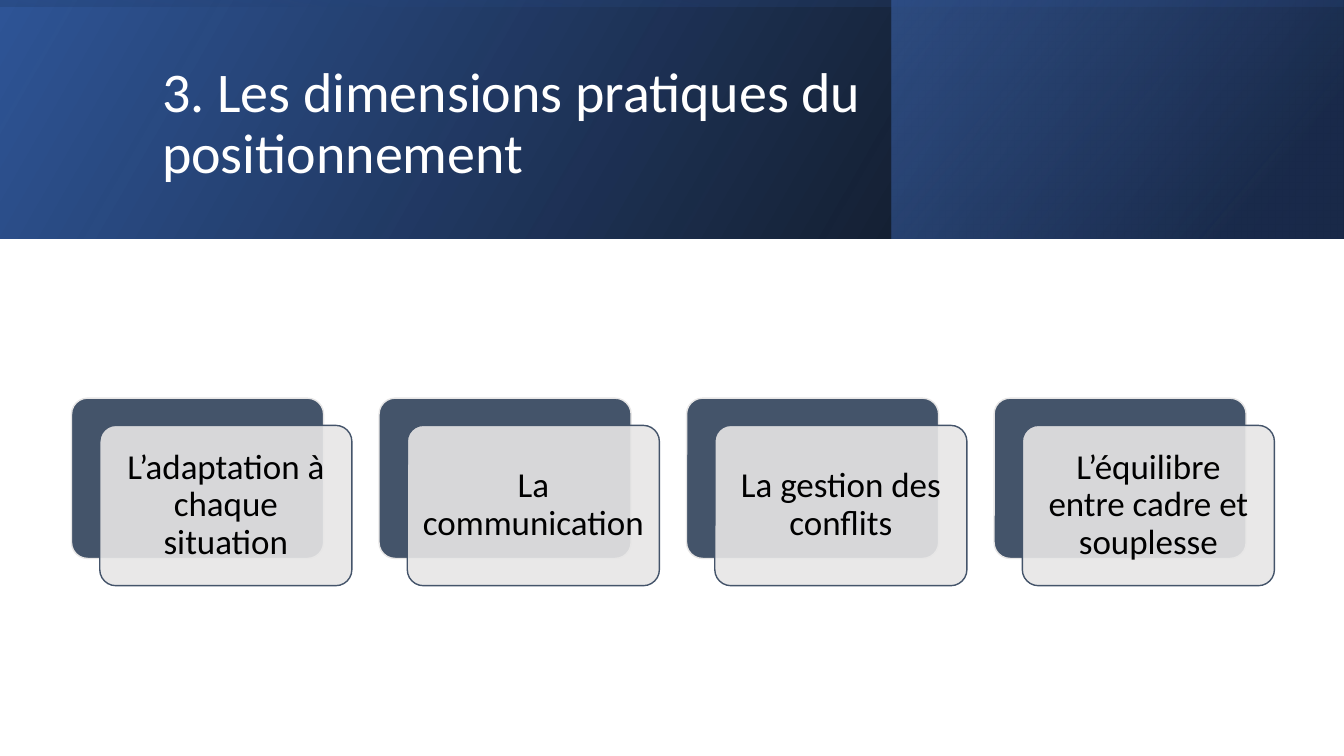
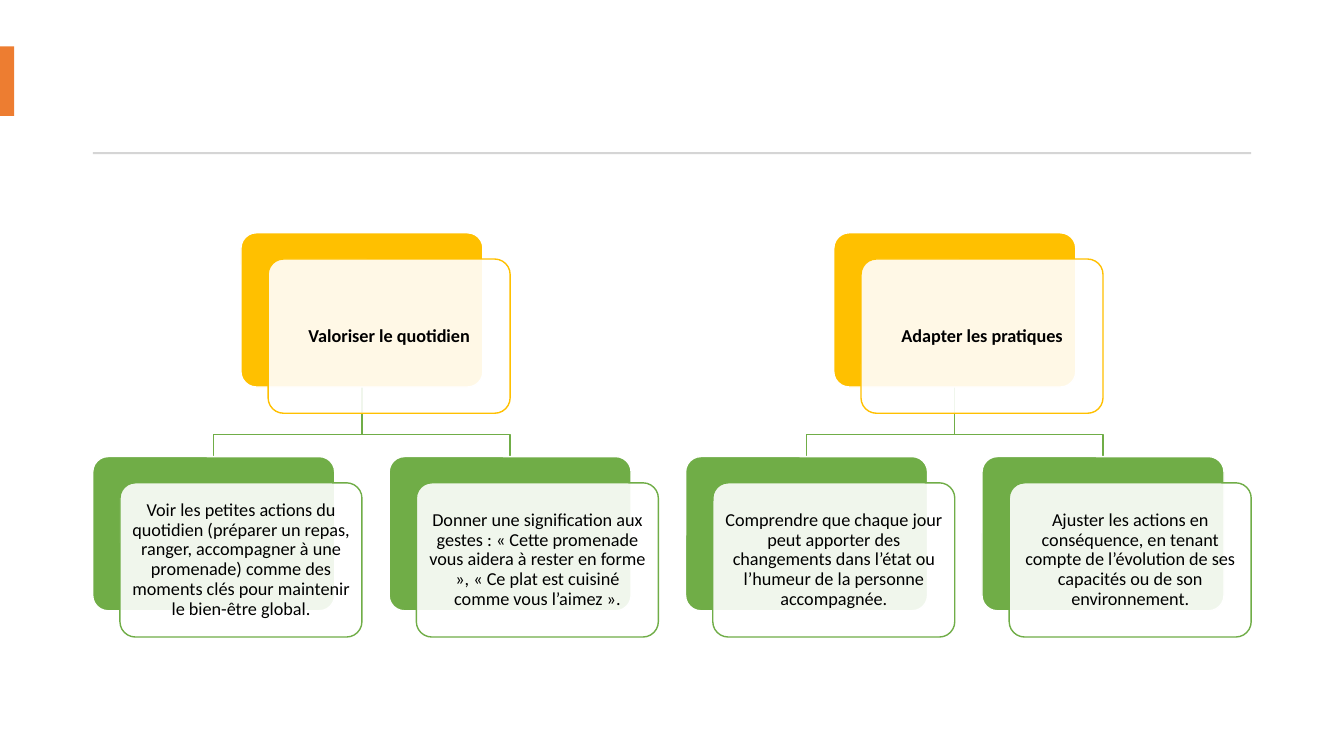
"""Build two slides on practical positioning: a card row and a card tree."""
from dataclasses import dataclass

from lxml.etree import SubElement
from pptx import Presentation
from pptx.dml.color import RGBColor as Rgb
from pptx.enum.shapes import MSO_AUTO_SHAPE_TYPE as Kind
from pptx.enum.text import MSO_ANCHOR as Anchor, PP_ALIGN as Align
from pptx.oxml.ns import qn
from pptx.shapes.autoshape import Shape
from pptx.slide import Slide
from pptx.util import Inches, Pt

FONT = "Calibri"
BLACK, WHITE = "000000", "FFFFFF"
NAVY, SLATE, MIST = "2F5597", "44546A", "E7E6E6"
GOLD, GREEN, ORANGE, GREY = "FFC000", "70AD47", "ED7D31", "D5D5D5"
WIDE, BAND = 13.33, 2.37


@dataclass(frozen=True)
class Box:
    left: float
    top: float
    width: float
    height: float

    def inches(self) -> list[Inches]:
        return [Inches(n) for n in (self.left, self.top, self.width, self.height)]


@dataclass(frozen=True)
class Stop:
    place: int
    tint: str
    alpha: int = 100


@dataclass(frozen=True)
class Layer:
    box: Box
    stops: tuple[Stop, Stop]
    angle: int
    turn: int = 0


@dataclass(frozen=True)
class Style:
    dark: str
    light: str
    width: float
    height: float
    right: float
    down: float
    size: int
    pad: float
    bold: bool = False


@dataclass(frozen=True)
class Branch:
    head: str
    leaves: tuple[str, str]


LAYERS = (
    Layer(Box(0, 0, WIDE, BAND), (Stop(0, BLACK, 96), Stop(100, NAVY)), 330),
    Layer(Box(8.84, 0, 4.48, BAND),
          (Stop(19, "203864", 68), Stop(100, "4472C4", 48)), 320),
    Layer(Box((WIDE - BAND) / 2, (BAND - WIDE) / 2, BAND, WIDE),
          (Stop(23, NAVY, 16), Stop(99, BLACK, 45)), 350, 270),
)
TOPIC = Style(SLATE, MIST, 2.5, 1.59, 0.28, 0.27, 25, 0.1)
HEAD = Style(GOLD, WHITE, 2.4, 1.53, 0.27, 0.26, 13, 0.05, True)
LEAF = Style(GREEN, WHITE, 2.4, 1.53, 0.27, 0.26, 13, 0.05)

TOPICS = (
    "L’adaptation à chaque situation",
    "La communication",
    "La gestion des conflits",
    "L’équilibre entre cadre et souplesse",
)
TREE = (
    Branch("Valoriser le quotidien", (
        "Voir les petites actions du quotidien (préparer un repas, ranger, "
        "accompagner à une promenade) comme des moments clés pour maintenir "
        "le bien-être global.",
        "Donner une signification aux gestes : « Cette promenade vous aidera à "
        "rester en forme », « Ce plat est cuisiné comme vous l’aimez ».",
    )),
    Branch("Adapter les pratiques", (
        "Comprendre que chaque jour peut apporter des changements dans l’état "
        "ou l’humeur de la personne accompagnée.",
        "Ajuster les actions en conséquence, en tenant compte de l’évolution "
        "de ses capacités ou de son environnement.",
    )),
)


def color(code: str) -> Rgb:
    return Rgb.from_string(code)


def fade(node, alpha: int) -> None:
    if alpha < 100:
        SubElement(node, qn("a:alpha"), val=str(alpha * 1000))


def write(shape: Shape, text: str, *, size: int, tint: str = BLACK,
          bold: bool = False, align: Align = Align.CENTER,
          pad: float | None = None) -> None:
    frame = shape.text_frame
    frame.word_wrap = True
    frame.vertical_anchor = Anchor.MIDDLE
    if pad is not None:
        frame.margin_left = frame.margin_right = Inches(pad)
        frame.margin_top = frame.margin_bottom = Inches(pad)
    para = frame.paragraphs[0]
    para.alignment = align
    para.line_spacing = 0.9
    run = para.add_run()
    run.text = text
    font = run.font
    font.name, font.size, font.bold = FONT, Pt(size), bold
    font.color.rgb = color(tint)


def edge(shape: Shape, tint: str) -> None:
    shape.line.color.rgb = color(tint)
    shape.line.width = Pt(1)


def block(slide: Slide, box: Box, fill: str, *, line: str = "",
          alpha: int = 100) -> Shape:
    kind = Kind.ROUNDED_RECTANGLE if line else Kind.RECTANGLE
    shape = slide.shapes.add_shape(kind, *box.inches())
    shape.shadow.inherit = False
    shape.fill.solid()
    shape.fill.fore_color.rgb = color(fill)
    fade(shape.element.spPr.find(".//" + qn("a:srgbClr")), alpha)
    if line:
        shape.adjustments[0] = 0.1
        edge(shape, line)
    else:
        shape.line.fill.background()
    return shape


def blend(slide: Slide, layer: Layer) -> None:
    shape = slide.shapes.add_shape(Kind.RECTANGLE, *layer.box.inches())
    shape.rotation = layer.turn
    props = shape.element.spPr
    props.find(qn("a:xfrm")).set("flipH", "1")
    grad = SubElement(props, qn("a:gradFill"), rotWithShape="1")
    stops = SubElement(grad, qn("a:gsLst"))
    for stop in layer.stops:
        mark = SubElement(stops, qn("a:gs"), pos=str(stop.place * 1000))
        fade(SubElement(mark, qn("a:srgbClr"), val=stop.tint), stop.alpha)
    SubElement(grad, qn("a:lin"), ang=str(layer.angle * 60000), scaled="0")
    shape.line.fill.background()
    shape.shadow.inherit = False


def card(slide: Slide, left: float, top: float, text: str, style: Style) -> None:
    back = Box(left, top, style.width, style.height)
    front = Box(left + style.right, top + style.down, style.width, style.height)
    block(slide, back, style.dark, line=style.light)
    face = block(slide, front, style.light, line=style.dark, alpha=90)
    write(face, text, size=style.size, bold=style.bold, pad=style.pad)


def link(slide: Slide, start: float, top: float, end: float, base: float) -> None:
    bend = base - 0.22
    path = [(start, bend), (end, bend), (end, base)]
    pen = slide.shapes.build_freeform(Inches(start), Inches(top))
    pen.add_line_segments([(Inches(x), Inches(y)) for x, y in path], close=False)
    shape = pen.convert_to_shape()
    shape.shadow.inherit = False
    shape.fill.background()
    edge(shape, GREEN)


def topics(slide: Slide) -> None:
    for layer in LAYERS:
        blend(slide, layer)
    title = slide.shapes.add_textbox(*Box(1.51, 0.38, 10.63, 1.72).inches())
    write(title, "3. Les dimensions pratiques du positionnement",
          size=40, tint=WHITE, align=Align.LEFT)
    for i, text in enumerate(TOPICS):
        card(slide, 0.71 + 3.05 * i, 3.95, text, TOPIC)


def tree(slide: Slide) -> None:
    block(slide, Box(0, 0.46, 0.14, 0.69), ORANGE)
    block(slide, Box(0.92, 1.51, 11.49, 0.02), GREY)
    left, step, top, base = 0.92, 2.94, 2.31, 4.53
    half = HEAD.width / 2
    spots = [left + step * (2 * i + 0.5) for i in range(len(TREE))]
    for spot in spots:
        for side in (-step / 2, step / 2):
            link(slide, spot + half, top + HEAD.height, spot + half + side, base)
    for spot, branch in zip(spots, TREE):
        card(slide, spot, top, branch.head, HEAD)
        for i, text in enumerate(branch.leaves):
            card(slide, spot + step * (i - 0.5), base, text, LEAF)


def main() -> None:
    deck = Presentation()
    deck.slide_width, deck.slide_height = Inches(WIDE), Inches(7.5)
    for draw in (topics, tree):
        draw(deck.slides.add_slide(deck.slide_layouts[6]))
    deck.save("out.pptx")


if __name__ == "__main__":
    main()
